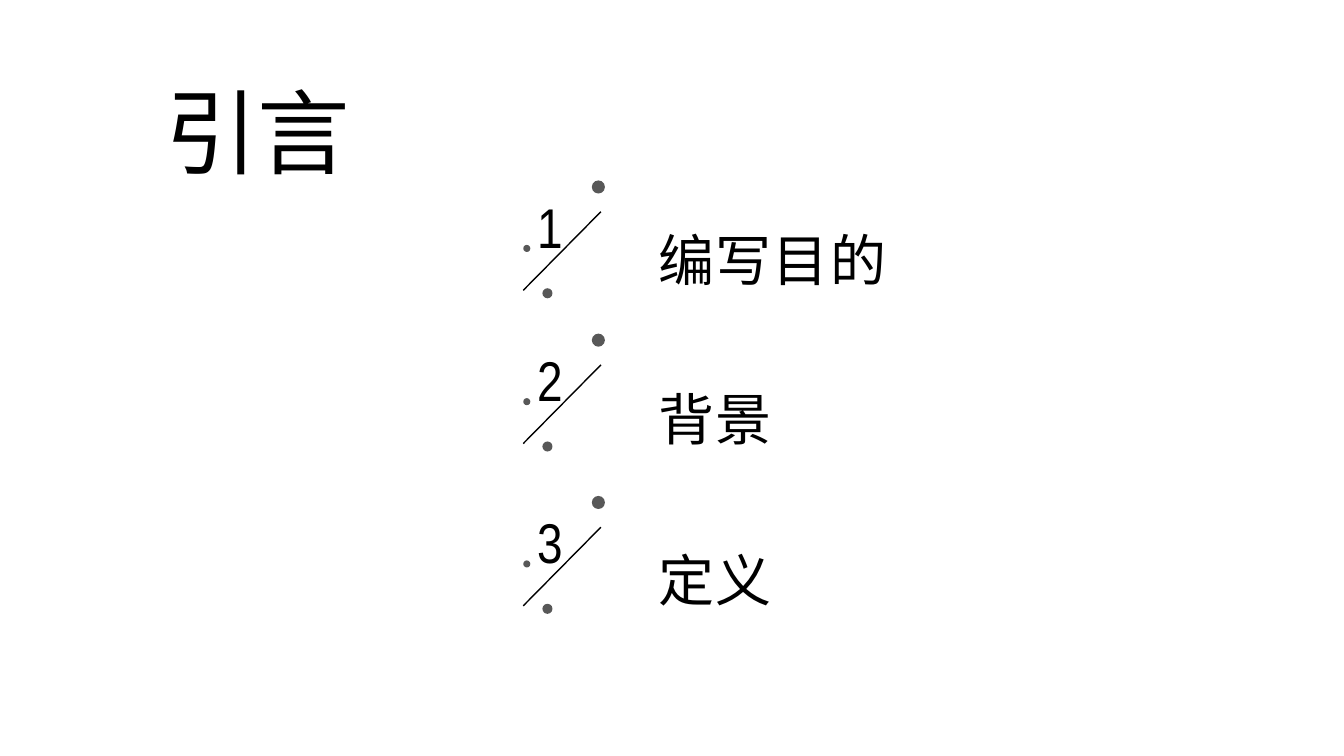
import pptx
import pptx.dml.color
import pptx.enum.shapes
import pptx.enum.text
import pptx.oxml
import pptx.oxml.ns
import pptx.util

Inches = pptx.util.Inches
RGBColor = pptx.dml.color.RGBColor
Anchor = pptx.enum.text.MSO_ANCHOR
qn = pptx.oxml.ns.qn

BLACK = RGBColor(0x00, 0x00, 0x00)
GRAY = RGBColor(0x52, 0x52, 0x52)

ITEMS = [
    ("1", "编写目的", 1.86, 2.19, 3.61),
    ("2", "背景", 3.38, 3.76, 4.49),
    ("3", "定义", 4.99, 5.36, 3.61),
]
DOTS = [(5.87, -0.07, 0.13), (5.38, 1.0, 0.1), (5.19, 0.57, 0.07)]


def add_child(parent, tag, **attrs):
    child = pptx.oxml.parse_xml(f"<{tag} {pptx.oxml.ns.nsdecls('a')}/>")
    for key, value in attrs.items():
        child.set(key, value)
    parent.append(child)


def add_text(shapes, text, left, top, width, height, *, size=40,
             font="Noto Sans CJK JP", space=0, anchor=Anchor.MIDDLE):
    box = shapes.add_textbox(Inches(left), Inches(top), Inches(width), Inches(height))
    frame = box.text_frame
    frame.word_wrap = True
    frame.auto_size = pptx.enum.text.MSO_AUTO_SIZE.NONE
    frame.vertical_anchor = anchor
    run = frame.paragraphs[0].add_run()
    run.text = text
    run.font.size = pptx.util.Pt(size)
    run.font.name = font
    run.font.color.rgb = BLACK
    props = run.font._element
    add_child(props, "a:ea", typeface=font)
    if space:
        props.set("spc", str(space * 100))


def add_dot(shapes, left, top, size):
    dot = shapes.add_shape(pptx.enum.shapes.MSO_SHAPE.OVAL,
                           Inches(left), Inches(top), Inches(size), Inches(size))
    dot.shadow.inherit = False
    dot.fill.solid()
    dot.fill.fore_color.rgb = GRAY
    dot.line.fill.background()
    color = dot._element.spPr.find(qn("a:solidFill")).find(qn("a:srgbClr"))
    add_child(color, "a:alpha", val="96000")


def add_slash(shapes, top):
    line = shapes.add_connector(pptx.enum.shapes.MSO_CONNECTOR.STRAIGHT,
                                Inches(5.96), Inches(top), Inches(5.19), Inches(top + 0.78))
    line.line.color.rgb = BLACK
    line.line.width = pptx.util.Pt(1)
    add_child(line._element.spPr, "a:effectLst")


def add_item(slide, number, label, top, label_top, width):
    shapes = slide.shapes.add_group_shape().shapes
    add_text(shapes, number, 5.23, top, 0.82, 0.77, font="Arial Narrow", anchor=Anchor.TOP)
    add_slash(shapes, top + 0.24)
    for left, drop, size in DOTS:
        add_dot(shapes, left, top + drop, size)
    add_text(shapes, label, 6.43, label_top, width, 0.77, space=1)


def main():
    deck = pptx.Presentation()
    deck.slide_width = Inches(13.33)
    deck.slide_height = Inches(7.5)
    slide = deck.slides.add_slide(deck.slide_layouts[6])
    for item in ITEMS:
        add_item(slide, *item)
    add_text(slide.shapes, "引言", 1.54, 0.69, 3.36, 1.21, size=66, font="Noto Sans CJK SC")
    deck.save("out.pptx")


if __name__ == "__main__":
    main()
